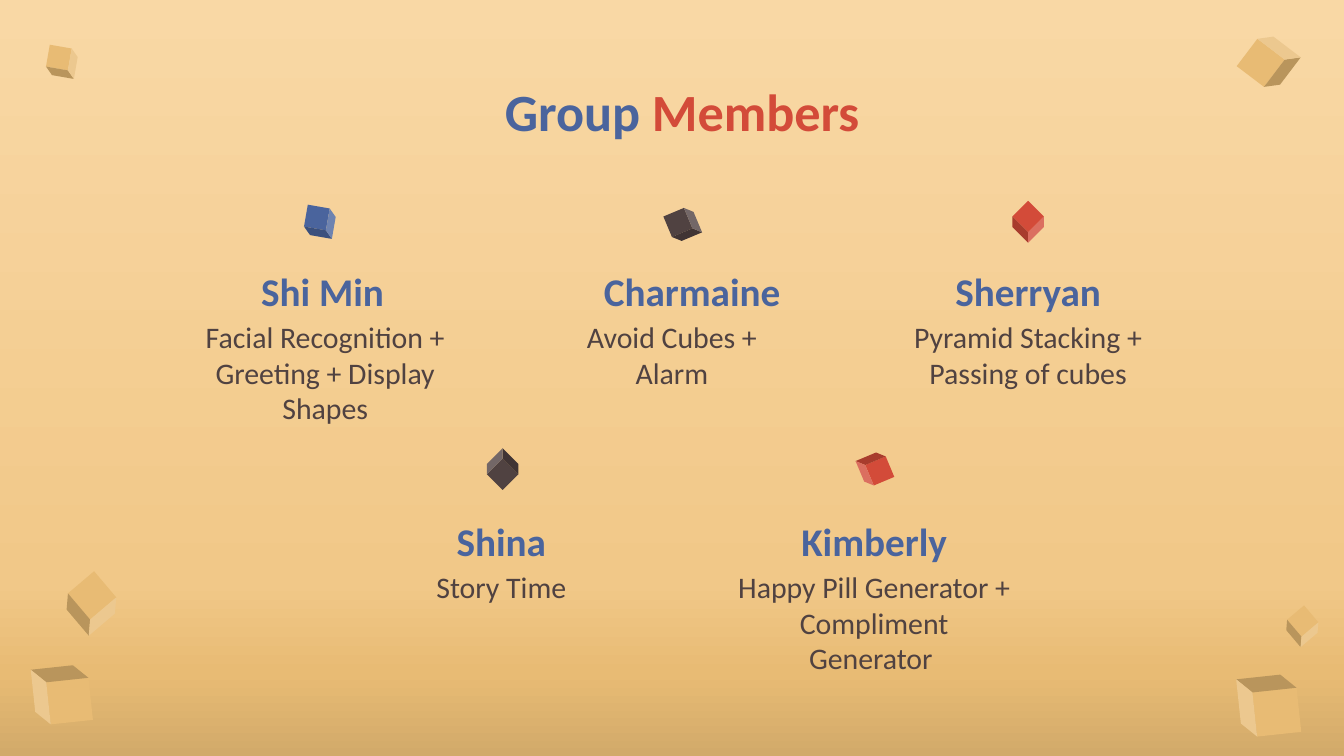
import pptx
import pptx.util
import pptx.dml.color
import pptx.enum.shapes
import pptx.enum.text
import pptx.oxml
import pptx.oxml.ns

Inches = pptx.util.Inches
HUES = {
    "blue": "4A649D", "red": "D34B39", "brown": "504241", "sand": "E8BB74",
}
STOPS = [(0, "F9D8A5"), (77, "F1C888"), (89, "E8BB74"), (100, "D2AA6A")]


def tint(hue):
    return pptx.dml.color.RGBColor.from_string(HUES[hue])


def paint_back(slide):
    """Vertical four-stop gradient behind the slide."""
    fill = slide.background.fill
    fill.gradient()
    fill.gradient_angle = 270
    stops = next(slide.element.iter(pptx.oxml.ns.qn("a:gsLst")))
    for stop in list(stops):
        stops.remove(stop)
    for place, hue in STOPS:
        stops.append(pptx.oxml.parse_xml(
            f'<a:gs {pptx.oxml.ns.nsdecls("a")} pos="{place * 1000}">'
            f'<a:srgbClr val="{hue}"/></a:gs>'))


def add_cube(slide, left, top, size, turn, hue):
    cube = slide.shapes.add_shape(
        pptx.enum.shapes.MSO_SHAPE.CUBE,
        Inches(left), Inches(top), Inches(size), Inches(size))
    cube.rotation = turn
    cube.shadow.inherit = False
    cube.fill.solid()
    cube.fill.fore_color.rgb = tint(hue)
    cube.line.fill.background()


def add_text(slide, box, parts, size, bold=False, middle=False):
    """One centred paragraph; parts are (text, hue) pairs."""
    frame = slide.shapes.add_textbox(*map(Inches, box)).text_frame
    frame.word_wrap = True
    frame.margin_left = frame.margin_right = Inches(0.1)
    frame.margin_top = frame.margin_bottom = Inches(0.1)
    anchor = pptx.enum.text.MSO_ANCHOR
    frame.vertical_anchor = anchor.MIDDLE if middle else anchor.TOP
    para = frame.paragraphs[0]
    para.alignment = pptx.enum.text.PP_ALIGN.CENTER
    for text, hue in parts:
        run = para.add_run()
        run.text = text
        run.font.name = "Calibri"
        run.font.size = pptx.util.Pt(size)
        run.font.bold = bold
        run.font.color.rgb = tint(hue)
    return para


def add_title(slide, box):
    para = add_text(slide, box, [("Group ", "blue"), ("Members", "red")],
                    28, bold=True)
    para._p.get_or_add_pPr().set("indent", str(Inches(0.14)))


def add_member(slide, box, name, role, span, cube):
    """Cube, name and role; span and cube are offsets from the box."""
    left, top, width = box
    shift, wide = span
    right, up, turn, hue = cube
    add_cube(slide, left + right, top - up, 0.22, turn, hue)
    add_text(slide, (left, top, width, 0.47), [(name, "blue")],
             21, bold=True, middle=True)
    add_text(slide, (left + shift, top + 0.34, wide, 0.7),
             [(role, "brown")], 16)


def add_decor(slide):
    for left, top, size, turn in [
        (0.51, 4.32, 0.34, 139.7), (0.25, 4.96, 0.42, 263.9),
        (0.35, 0.35, 0.22, 99.9), (9.58, 4.55, 0.22, 139.7),
        (9.22, 5.03, 0.44, 263.9), (9.27, 0.29, 0.34, 37.2),
    ]:
        add_cube(slide, left, top, size, turn, "sand")


# Box (left, top, width), name, role, role span, cube
ROW1, ROW2 = 1.93, 3.79
TEAM = [
    ((1.46, ROW1, 1.88), "Shi Min",
     "Facial Recognition + Greeting + Display Shapes",
     (-0.08, 2.08), (0.81, 0.39, 99.9, "blue")),
    ((4.06, ROW1, 2.18), "Charmaine", "Avoid Cubes + Alarm",
     (0, 1.88), (0.91, 0.37, 67.2, "brown")),
    ((6.66, ROW1, 1.98), "Sherryan", "Pyramid Stacking + Passing of cubes",
     (0, 1.98), (0.88, 0.39, 135, "red")),
    ((2.79, ROW2, 1.88), "Shina", "Story Time",
     (0, 1.88), (0.84, 0.41, 315, "brown")),
    ((5.39, ROW2, 2.23), "Kimberly",
     "Happy Pill Generator + Compliment Generator ",
     (0, 2.23), (1.01, 0.41, 247.2, "red")),
]


def main():
    deck = pptx.Presentation()
    # Widescreen, 16:9
    deck.slide_width = Inches(10)
    deck.slide_height = Inches(10 * 9 / 16)
    slide = deck.slides.add_slide(deck.slide_layouts[6])
    # Backdrop
    paint_back(slide)
    add_decor(slide)
    # Content
    add_title(slide, (0.79, 0.49, 8.43, 0.63))
    for member in TEAM:
        add_member(slide, *member)
    deck.save("out.pptx")


if __name__ == "__main__":
    main()
